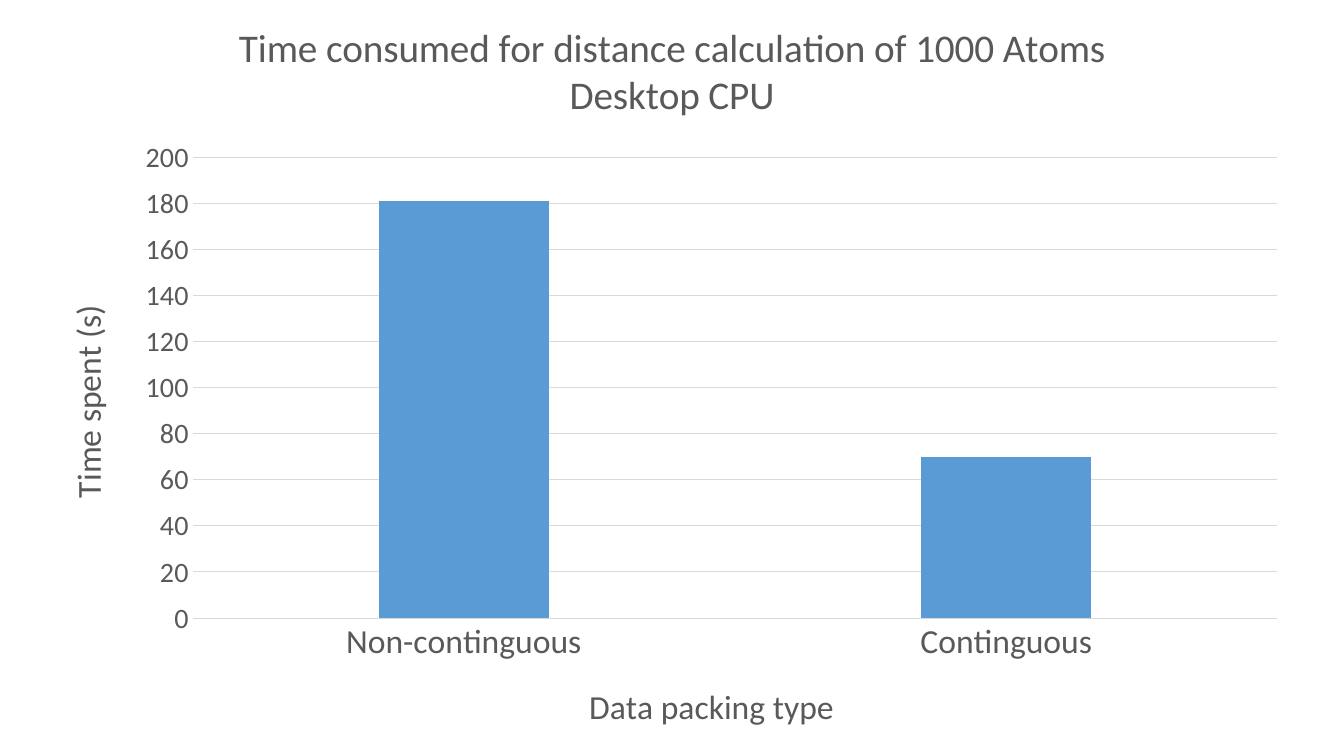
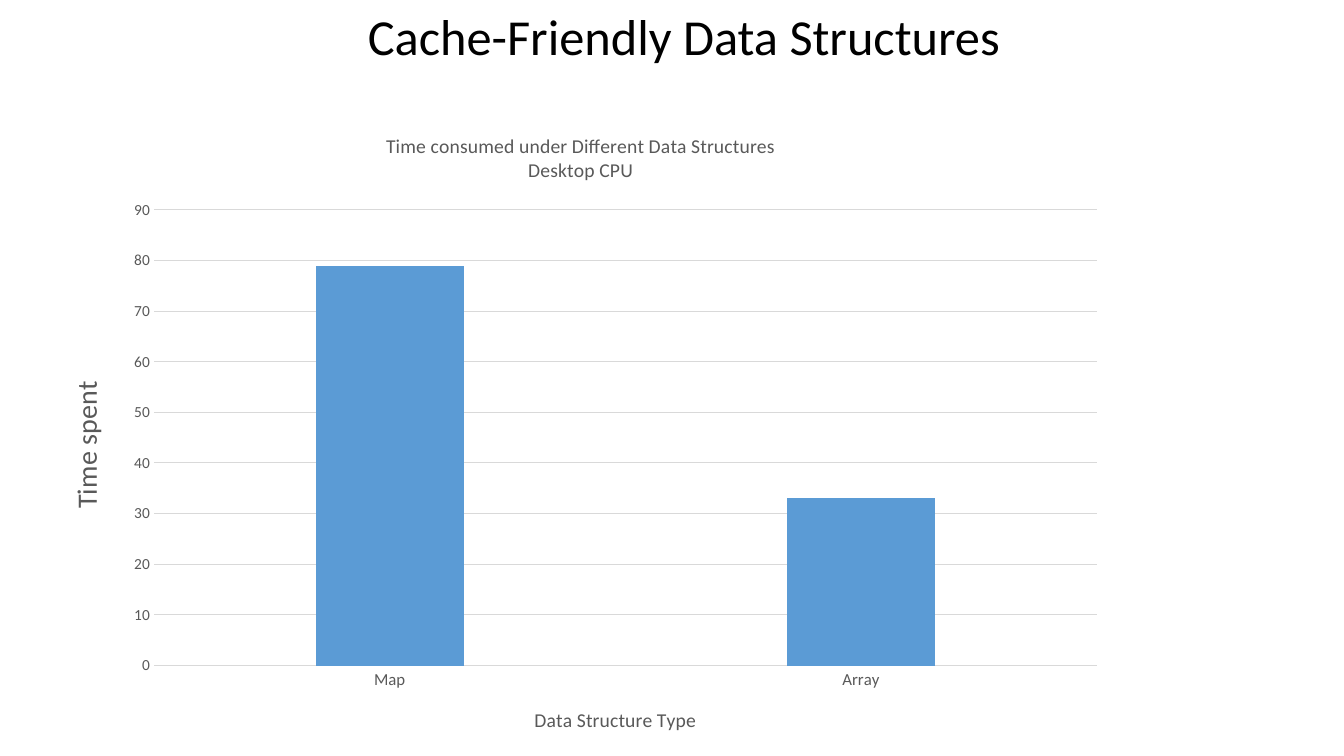
"""Build two slides comparing run times by data packing and by data structure."""
from dataclasses import dataclass

from pptx import Presentation
from pptx.chart.data import CategoryChartData
from pptx.dml.color import RGBColor
from pptx.enum.chart import XL_CHART_TYPE, XL_TICK_MARK
from pptx.enum.text import MSO_ANCHOR, PP_ALIGN
from pptx.util import Inches, Pt

COLUMNS = XL_CHART_TYPE.COLUMN_CLUSTERED
NO_TICKS = XL_TICK_MARK.NONE
CENTER, MIDDLE = PP_ALIGN.CENTER, MSO_ANCHOR.MIDDLE
TITLE_ONLY, BLANK = 5, 6


@dataclass(frozen=True)
class Theme:
    """Colours, font and type sizes shared by the slides."""
    font: str = "Calibri"
    heading: str = "000000"
    label: str = "595959"
    rule: str = "D9D9D9"
    bar: str = "5B9BD5"
    heading_size: int = 36
    rule_width: float = 0.75
    gap: int = 219
    overlap: int = -27


THEME = Theme()
SLIDE_SIZE = (13.33, 7.5)
HEADING_BOX = (3.54, 0, 6.49, 0.71)
PROCESSOR = "Desktop CPU"

SLIDES = [
    {
        "heading": None,
        "box": (0.41, 0, 12.51, 7.5),
        "title": ("Time consumed for distance calculation of 1000 Atoms", 28),
        "times": {"Non-continguous": 181, "Continguous": 70},
        "category": {"title": "Data packing type", "title_size": 24, "size": 24},
        "value": {"title": "Time spent (s)", "title_size": 24, "size": 20},
        "scale": (200, 20),
    },
    {
        "heading": "Cache-Friendly Data Structures",
        "box": (0.43, 1.1, 10.66, 6.39),
        "title": ("Time consumed under Different Data Structures", 14),
        "times": {"Map": 79, "Array": 33},
        "category": {"title": "Data Structure Type", "title_size": 14, "size": 12},
        "value": {"title": "Time spent", "title_size": 20, "size": 11},
        "scale": (90, 10),
    },
]


def style_font(font, size, color):
    font.name = THEME.font
    font.size = Pt(size)
    font.bold = False
    font.color.rgb = RGBColor.from_string(color)


def write(frame, text, size, color=THEME.label, align=CENTER):
    """Fill a text frame, one paragraph for each line of the text."""
    frame.text = text
    for paragraph in frame.paragraphs:
        paragraph.alignment = align
        for run in paragraph.runs:
            style_font(run.font, size, color)


def style_rule(line):
    line.color.rgb = RGBColor.from_string(THEME.rule)
    line.width = Pt(THEME.rule_width)


def style_axis(axis, title, title_size, size):
    write(axis.axis_title.text_frame, title, title_size)
    style_font(axis.tick_labels.font, size, THEME.label)
    axis.major_tick_mark = axis.minor_tick_mark = NO_TICKS


def add_heading(slide, text):
    heading = slide.shapes.title
    heading.left, heading.top, heading.width, heading.height = map(Inches, HEADING_BOX)
    write(heading.text_frame, text, THEME.heading_size, THEME.heading)
    heading.text_frame.word_wrap = False
    heading.text_frame.vertical_anchor = MIDDLE


def add_time_chart(slide, content):
    times = CategoryChartData()
    times.categories = list(content["times"])
    times.add_series("Series 1", list(content["times"].values()))
    chart = slide.shapes.add_chart(COLUMNS, *map(Inches, content["box"]), times).chart
    chart.has_legend = False
    style_font(chart.font, 10, THEME.heading)

    title, title_size = content["title"]
    write(chart.chart_title.text_frame, f"{title}\n{PROCESSOR}", title_size)
    chart.chart_title.include_in_layout = False

    category_axis, value_axis = chart.category_axis, chart.value_axis
    style_axis(category_axis, **content["category"])
    style_axis(value_axis, **content["value"])
    style_rule(category_axis.format.line)
    style_rule(value_axis.major_gridlines.format.line)
    value_axis.format.line.fill.background()
    value_axis.minimum_scale = 0
    value_axis.maximum_scale, value_axis.major_unit = content["scale"]

    bars = chart.plots[0]
    bars.vary_by_categories = False
    bars.gap_width, bars.overlap = THEME.gap, THEME.overlap
    bar_fill = bars.series[0].format.fill
    bar_fill.solid()
    bar_fill.fore_color.rgb = RGBColor.from_string(THEME.bar)


def main():
    deck = Presentation()
    deck.slide_width, deck.slide_height = map(Inches, SLIDE_SIZE)
    for content in SLIDES:
        layout = TITLE_ONLY if content["heading"] else BLANK
        slide = deck.slides.add_slide(deck.slide_layouts[layout])
        if content["heading"]:
            add_heading(slide, content["heading"])
        add_time_chart(slide, content)
    deck.save("out.pptx")


if __name__ == "__main__":
    main()
